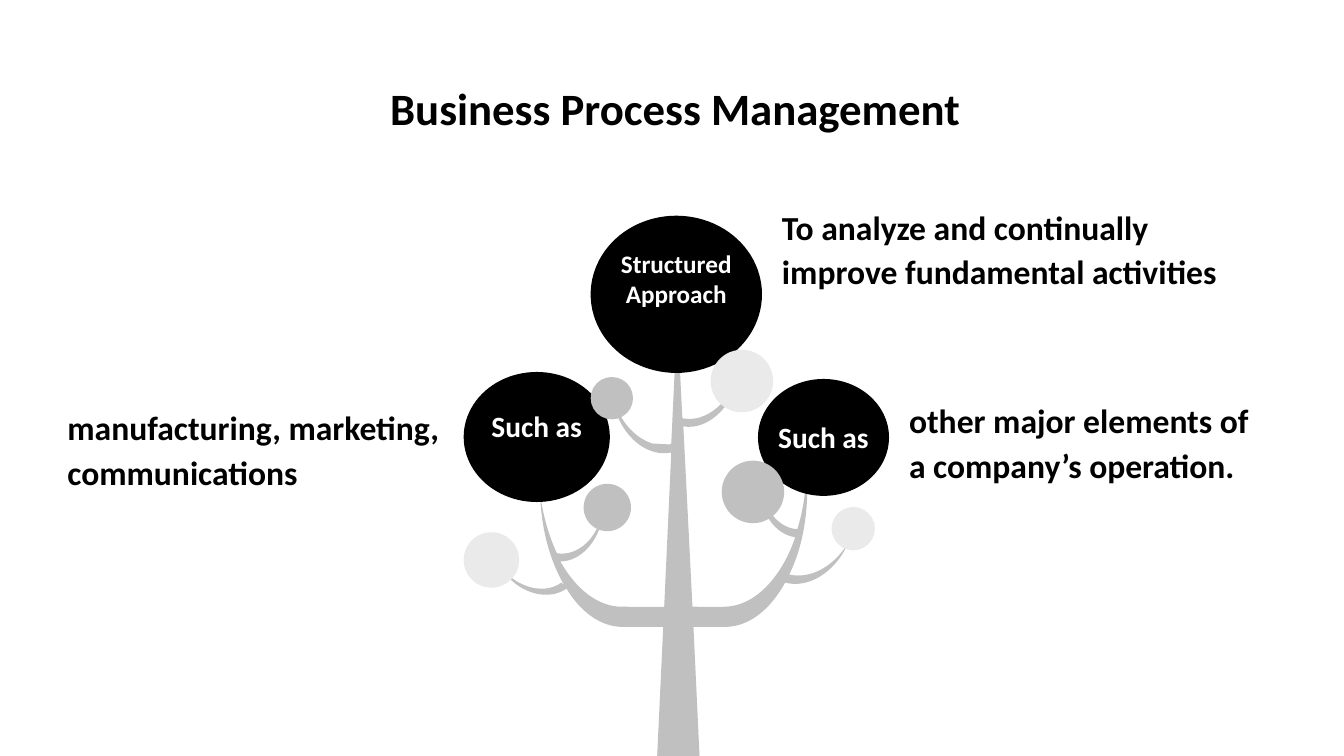
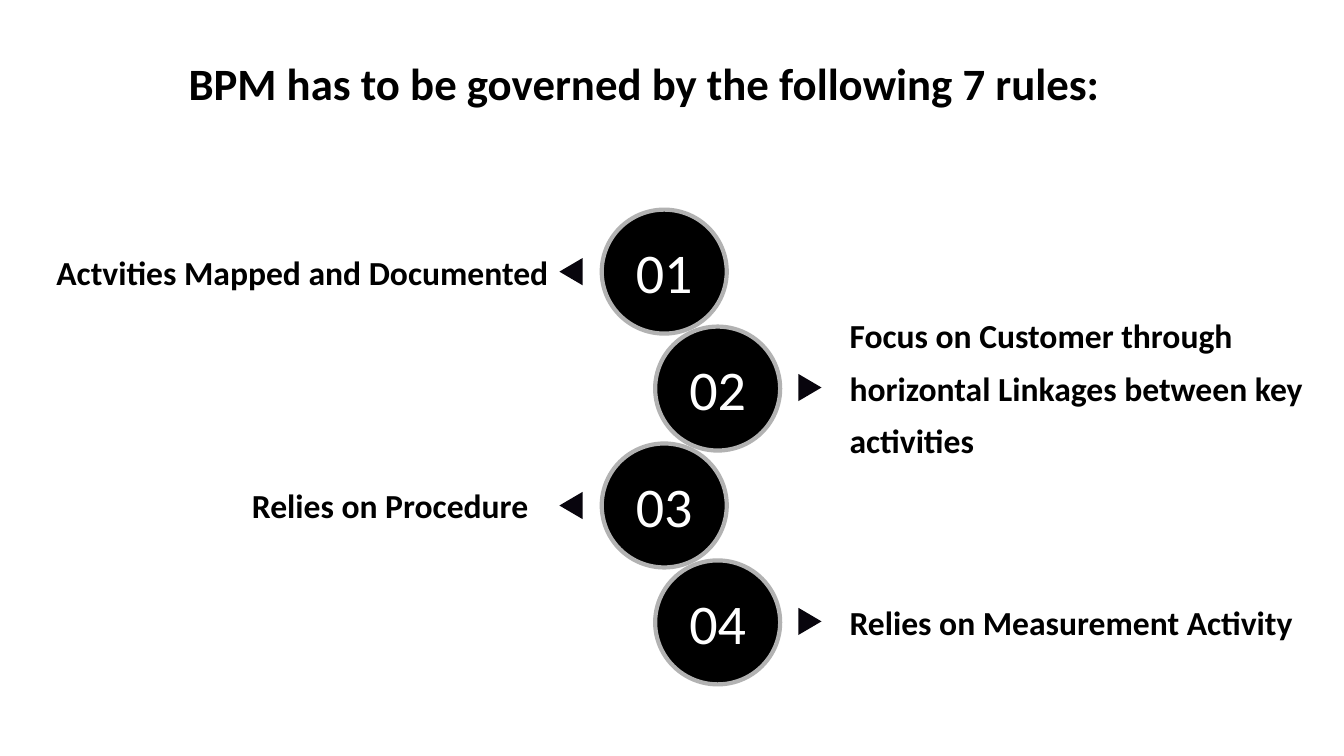
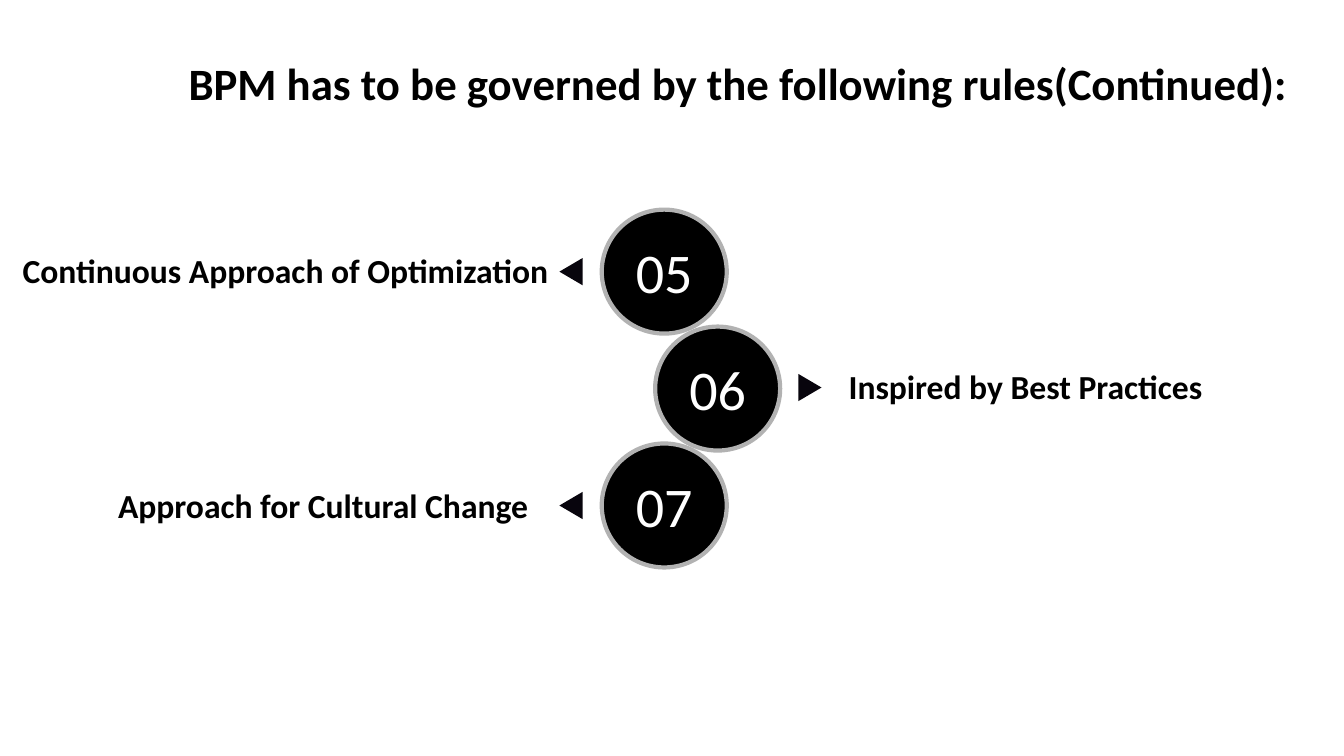
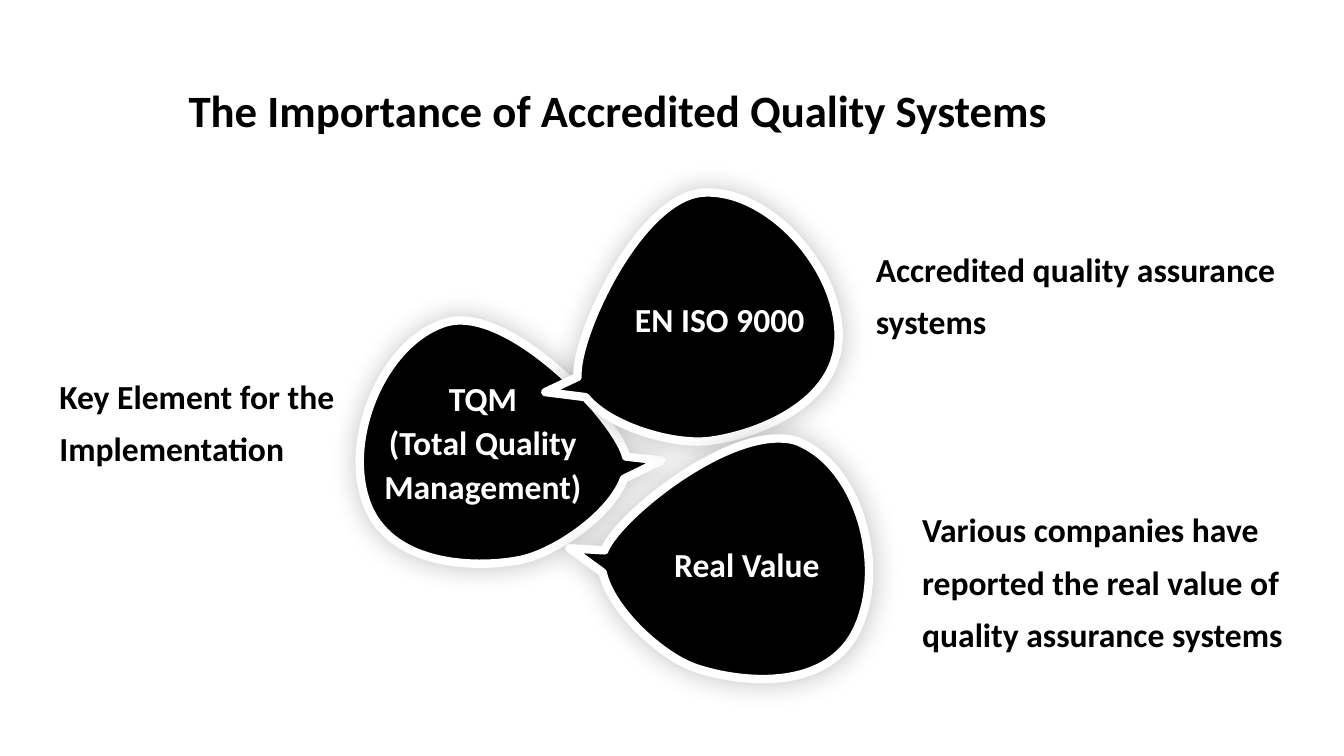
from dataclasses import dataclass
from math import cos, radians, sin
from typing import NamedTuple, Optional

from lxml.etree import SubElement
from pptx import Presentation
from pptx.dml.color import RGBColor
from pptx.enum.shapes import MSO_SHAPE as Preset
from pptx.enum.text import MSO_ANCHOR as Anchor, MSO_AUTO_SIZE as AutoSize, PP_ALIGN as Align
from pptx.oxml.ns import qn
from pptx.shapes.autoshape import Shape
from pptx.slide import Slide
from pptx.text.text import TextFrame
from pptx.util import Emu, Pt

EMU_PER_PX = 9144  # 100 px to the inch
TITLE_ONLY = 5


@dataclass(frozen=True)
class Theme:
    font: str = "Calibri"
    ink: str = "000000"
    paper: str = "FFFFFF"
    branch: str = "C0C0C0"
    leaf: str = "EAEAEA"
    ring: str = "B2B2B2"
    arrow: str = "08050D"
    title: int = 32
    body: int = 24
    number: int = 40
    ring_width: int = 3
    petal_border: int = 6
    shadow_blur: int = 20
    shadow_opacity: int = 24


THEME = Theme()


class Box(NamedTuple):
    left: int
    top: int
    width: int
    height: int


class Insets(NamedTuple):
    left: int = 10
    top: int = 5
    right: int = 10
    bottom: int = 5


NO_INSETS = Insets(0, 0, 0, 0)


class Outline(NamedTuple):
    """A start point, then steps: 2 numbers make a line, 6 a Bézier curve.

    The box is the frame before rotation; the points are where they show.
    """
    box: Box
    start: tuple[int, int]
    steps: list[tuple[int, ...]]
    rotation: float = 0


class Label(NamedTuple):
    text: str
    box: Box
    spacing: float = 1.1
    align: Align = Align.LEFT
    anchor: Anchor = Anchor.TOP


class Crown(NamedTuple):
    """A round part of the tree, with or without words."""
    box: Box
    fill: str
    text: str = ""
    size: int = 21
    lift: int = 0
    rotation: float = 0


class Petal(NamedTuple):
    text: str
    outline: Outline
    insets: Insets
    spacing: float


class Rule(NamedTuple):
    number: str
    label: Label


def px(length: float) -> Emu:
    return Emu(round(length * EMU_PER_PX))


def write(frame: TextFrame, text: str, *, size: int = THEME.body, colour: str = THEME.ink,
          bold: bool = True, align: Align = Align.LEFT, anchor: Anchor = Anchor.TOP,
          spacing: float = 1.0, insets: Insets = Insets()) -> None:
    frame.word_wrap = True
    frame.auto_size = AutoSize.NONE
    frame.vertical_anchor = anchor
    frame.margin_left, frame.margin_top, frame.margin_right, frame.margin_bottom = map(px, insets)
    frame.text = text
    for paragraph in frame.paragraphs:
        paragraph.alignment = align
        paragraph.line_spacing = spacing
        for run in paragraph.runs:
            font = run.font
            font.name, font.size, font.bold = THEME.font, Pt(size), bold
            font.color.rgb = RGBColor.from_string(colour)


def paint(shape: Shape, fill: str, border: Optional[str] = None, border_width: int = 0) -> None:
    shape.fill.solid()
    shape.fill.fore_color.rgb = RGBColor.from_string(fill)
    if border:
        shape.line.color.rgb = RGBColor.from_string(border)
        shape.line.width = Pt(border_width)
    else:
        shape.line.fill.background()
    shape.shadow.inherit = False


def add_preset(slide: Slide, preset: Preset, box: Box, fill: str,
               border: Optional[str] = None, border_width: int = 0) -> Shape:
    shape = slide.shapes.add_shape(preset, *map(px, box))
    paint(shape, fill, border, border_width)
    return shape


def add_label(slide: Slide, label: Label) -> None:
    frame = slide.shapes.add_textbox(*map(px, label.box)).text_frame
    write(frame, label.text, align=label.align, anchor=label.anchor, spacing=label.spacing)


def to_frame(outline: Outline, x: int, y: int) -> dict[str, str]:
    """Turn a shown point into the frame's own, unrotated coordinates."""
    box, angle = outline.box, radians(-outline.rotation)
    dx, dy = x - box.left - box.width / 2, y - box.top - box.height / 2
    return {"x": str(px(dx * cos(angle) - dy * sin(angle) + box.width / 2)),
            "y": str(px(dx * sin(angle) + dy * cos(angle) + box.height / 2))}


def add_outline(slide: Slide, outline: Outline) -> Shape:
    """Build a freeform, then give its geometry the true curves."""
    builder = slide.shapes.build_freeform(*map(px, outline.start))
    builder.add_line_segments([tuple(map(px, step[-2:])) for step in outline.steps])
    shape = builder.convert_to_shape()
    shape.left, shape.top, shape.width, shape.height = map(px, outline.box)
    shape.rotation = outline.rotation
    geometry = next(shape._element.iter(qn("a:path")))
    for segment in list(geometry):
        geometry.remove(segment)
    geometry.set("w", str(shape.width))
    geometry.set("h", str(shape.height))
    start = SubElement(geometry, qn("a:moveTo"))
    SubElement(start, qn("a:pt"), to_frame(outline, *outline.start))
    for step in outline.steps:
        segment = SubElement(geometry, qn("a:cubicBezTo" if len(step) == 6 else "a:lnTo"))
        for x, y in zip(step[::2], step[1::2]):
            SubElement(segment, qn("a:pt"), to_frame(outline, x, y))
    SubElement(geometry, qn("a:close"))
    return shape


def add_glow_shadow(shape: Shape) -> None:
    effects = shape._element.spPr.find(qn("a:effectLst"))
    shadow = SubElement(effects, qn("a:outerShdw"), blurRad=str(Pt(THEME.shadow_blur)),
                        dist="0", dir="0", algn="ctr", rotWithShape="0")
    colour = SubElement(shadow, qn("a:srgbClr"), val=THEME.ink)
    SubElement(colour, qn("a:alpha"), val=str(THEME.shadow_opacity * 1000))


def add_titled_slide(deck: Presentation, text: str, box: Box) -> Slide:
    slide = deck.slides.add_slide(deck.slide_layouts[TITLE_ONLY])
    title = slide.shapes.title
    title.left, title.top, title.width, title.height = map(px, box)
    write(title.text_frame, text, size=THEME.title, anchor=Anchor.MIDDLE, spacing=0.9)
    return slide


TREE = Outline(Box(521, 362, 311, 350), (672, 314), [
    (677, 415), (701, 420, 726, 398, 734, 367), (734, 366, 734, 365, 735, 364),
    (734, 367, 734, 371, 733, 375), (725, 406, 701, 427, 678, 423), (687, 602), (718, 602),
    (748, 602, 775, 574, 789, 533), (769, 530, 754, 509, 754, 483),
    (754, 479, 755, 476, 755, 473), (755, 474, 755, 475, 755, 476),
    (755, 502, 771, 524, 791, 525), (797, 507, 800, 485, 800, 463),
    (800, 460, 800, 458, 800, 455), (801, 464, 801, 473, 801, 483),
    (801, 516, 795, 546, 783, 570), (805, 575, 830, 561, 844, 534),
    (844, 533, 845, 532, 845, 531), (844, 535, 842, 539, 840, 542),
    (827, 569, 801, 584, 779, 578), (764, 605, 743, 622, 719, 622), (688, 622),
    (694, 750), (652, 750), (658, 622), (618, 622), (596, 622, 576, 607, 562, 584),
    (545, 596, 518, 590, 501, 569), (499, 566, 497, 563, 495, 560), (497, 563),
    (514, 584, 541, 590, 557, 578), (560, 581), (546, 557, 537, 526, 536, 491),
    (539, 513, 545, 533, 553, 550), (553, 549), (574, 552, 594, 533, 598, 506),
    (598, 505, 598, 504, 598, 503), (598, 506, 598, 510, 598, 513),
    (593, 539, 575, 557, 556, 557), (571, 584, 593, 602, 617, 602), (659, 602),
    (666, 449), (642, 454, 617, 433, 609, 402), (608, 398, 608, 394, 607, 390), (608, 393),
    (614, 417, 629, 434, 647, 440), (665, 441), (666, 440),
], rotation=320.5)

CROWNS = [
    Crown(Box(586, 214, 170, 156), THEME.ink, "Structured Approach", size=18, lift=31),
    Crown(Box(752, 376, 130, 116), THEME.ink, "Such as", lift=2),
    Crown(Box(716, 457, 62, 62), THEME.branch),
    Crown(Box(825, 503, 43, 43), THEME.leaf, rotation=45.6),
    Crown(Box(705, 347, 62, 62), THEME.leaf),
    Crown(Box(460, 369, 145, 129), THEME.ink, "Such as", lift=22),
    Crown(Box(579, 480, 47, 47), THEME.branch),
    Crown(Box(460, 528, 55, 55), THEME.leaf),
    Crown(Box(586, 374, 42, 42), THEME.branch),
]

TREE_LABELS = [
    Label("To analyze and continually improve fundamental activities", Box(766, 196, 467, 68)),
    Label("other major elements of a company’s operation.", Box(892, 388, 375, 92)),
    Label("manufacturing, marketing, communications", Box(57, 395, 391, 90)),
]

FIRST_RULES = [
    Rule("01", Label("Actvities Mapped and Documented", Box(13, 233, 541, 66), 1.3, Align.RIGHT)),
    Rule("02", Label("Focus on Customer through horizontal Linkages between key activities",
                     Box(833, 296, 488, 168), 1.3)),
    Rule("03", Label("Relies on Procedure", Box(46, 464, 488, 93), 1.3, Align.RIGHT)),
    Rule("04", Label("Relies on Measurement Activity", Box(833, 588, 477, 70))),
]

LAST_RULES = [
    Rule("05", Label("Continuous Approach of Optimization", Box(0, 239, 554, 66), 1.1,
                     Align.RIGHT)),
    Rule("06", Label("Inspired by Best Practices", Box(832, 354, 441, 144))),
    Rule("07", Label("Approach for Cultural Change", Box(46, 464, 488, 93), 1.3, Align.RIGHT)),
]

PETALS = [
    Petal("TQM\n(Total Quality Management)", Outline(Box(357, 318, 299, 241), (454, 318), [
        (516, 315, 610, 415, 621, 452), (621, 452, 621, 453, 621, 453), (656, 457), (619, 475),
        (606, 511, 549, 550, 514, 556), (471, 564, 385, 562, 363, 497),
        (341, 433, 381, 339, 442, 320), (446, 319, 450, 318, 454, 318),
    ]), Insets(16, 16, 71, 20), 1.1),
    Petal("EN ISO 9000", Outline(Box(541, 191, 291, 248), (700, 191), [
        (763, 189, 832, 265, 832, 333), (832, 401, 750, 431, 707, 437),
        (672, 443, 605, 424, 581, 394), (541, 389), (573, 374),
        (573, 374, 573, 373, 573, 373), (571, 332, 636, 192, 700, 191),
    ]), Insets(71, 16, 16, 24), 1.3),
    Petal("Real Value", Outline(Box(565, 435, 297, 239), (772, 435), [
        (781, 435, 789, 436, 796, 440), (854, 467, 880, 566, 849, 627),
        (818, 687, 733, 677, 691, 663), (657, 652, 606, 605, 598, 568),
        (565, 544), (600, 546), (600, 545, 600, 545, 600, 545),
        (615, 512, 710, 435, 772, 435),
    ]), Insets(71, 16, 16, 18), 1.3),
]

PETAL_LABELS = [
    Label("Accredited quality assurance systems", Box(859, 208, 428, 158), 1.3,
          anchor=Anchor.MIDDLE),
    Label("Various companies have reported the real value of quality assurance systems",
          Box(905, 499, 391, 144), 1.3, anchor=Anchor.MIDDLE),
    Label("Key Element for the Implementation", Box(49, 345, 302, 136), 1.3,
          anchor=Anchor.MIDDLE),
]


def draw_tree(slide: Slide) -> None:
    paint(add_outline(slide, TREE), THEME.branch)
    for crown in CROWNS:
        disc = add_preset(slide, Preset.OVAL, crown.box, crown.fill)
        disc.rotation = crown.rotation
        if crown.text:
            write(disc.text_frame, crown.text, size=crown.size, colour=THEME.paper,
                  align=Align.CENTER, anchor=Anchor.MIDDLE,
                  insets=NO_INSETS._replace(bottom=crown.lift))
    for label in TREE_LABELS:
        add_label(slide, label)


def draw_rules(slide: Slide, rules: list[Rule]) -> None:
    """Stack numbered discs in a zigzag, each pointing to its label."""
    top, pitch = 208, 116
    for row, rule in enumerate(rules):
        points_left = row % 2 == 0
        disc_left, arrow_left, drop, turn = (597, 553, 50, 270) if points_left else (650, 790, 49, 90)
        y = top + row * pitch
        disc = add_preset(slide, Preset.OVAL, Box(disc_left, y, 124, 123),
                          THEME.ink, THEME.ring, THEME.ring_width)
        write(disc.text_frame, rule.number, size=THEME.number, colour=THEME.paper, bold=False,
              align=Align.CENTER, anchor=Anchor.MIDDLE, insets=NO_INSETS)
        arrow = add_preset(slide, Preset.ISOSCELES_TRIANGLE, Box(arrow_left, y + drop, 27, 23),
                           THEME.arrow)
        arrow.rotation = turn
        add_label(slide, rule.label)


def draw_petals(slide: Slide) -> None:
    for petal in PETALS:
        shape = add_outline(slide, petal.outline)
        paint(shape, THEME.ink, THEME.paper, THEME.petal_border)
        add_glow_shadow(shape)
        write(shape.text_frame, petal.text, colour=THEME.paper, align=Align.CENTER,
              anchor=Anchor.MIDDLE, spacing=petal.spacing, insets=petal.insets)
    for label in PETAL_LABELS:
        add_label(slide, label)


def main() -> None:
    deck = Presentation()
    deck.slide_height = px(750)
    deck.slide_width = Emu(deck.slide_height * 16 // 9)
    title_box = Box(177, 67, 1073, 91)
    raised_box = title_box._replace(top=40)

    draw_tree(add_titled_slide(deck, "Business Process Management",
                               title_box._replace(left=377, top=65, width=873)))
    draw_rules(add_titled_slide(deck, "BPM has to be governed by the following 7 rules:",
                                raised_box), FIRST_RULES)
    draw_rules(add_titled_slide(deck, "BPM has to be governed by the following rules(Continued):",
                                raised_box._replace(width=1117)), LAST_RULES)
    draw_petals(add_titled_slide(deck, "The Importance of Accredited Quality Systems", title_box))
    deck.save("out.pptx")


if __name__ == "__main__":
    main()
